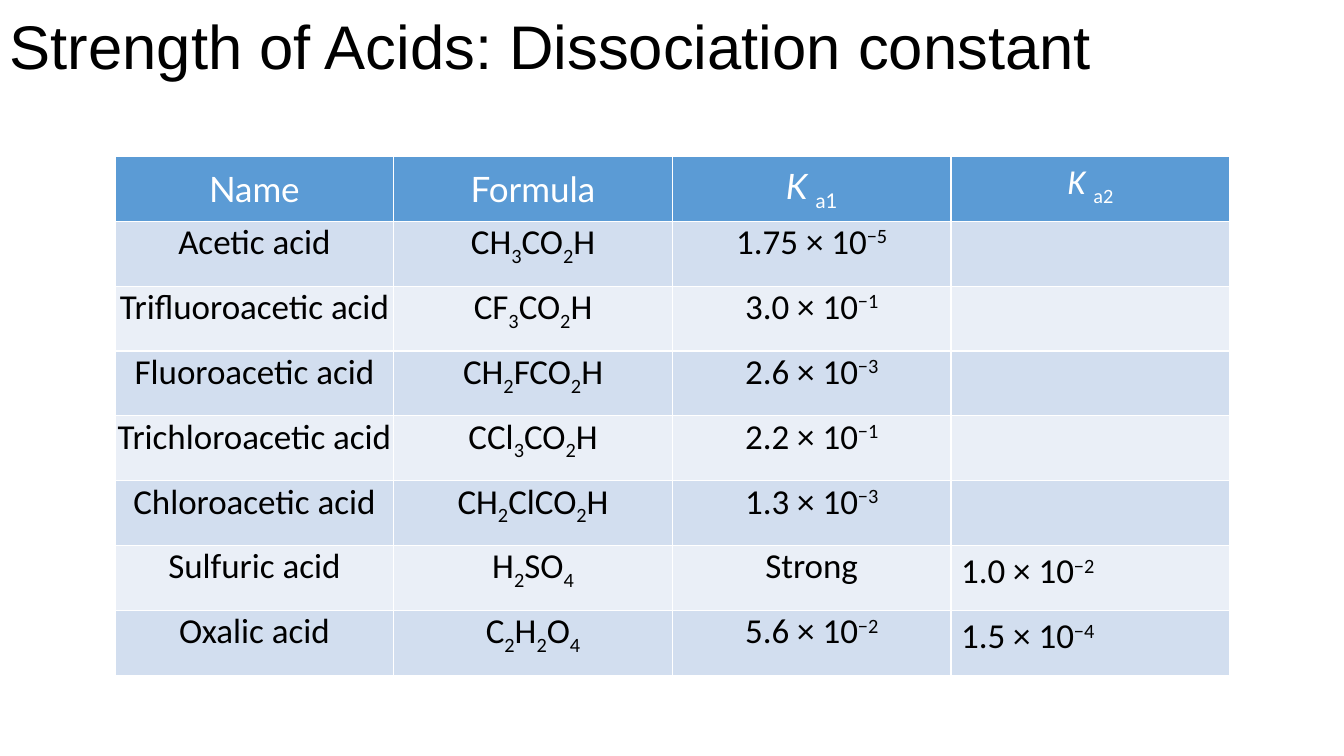
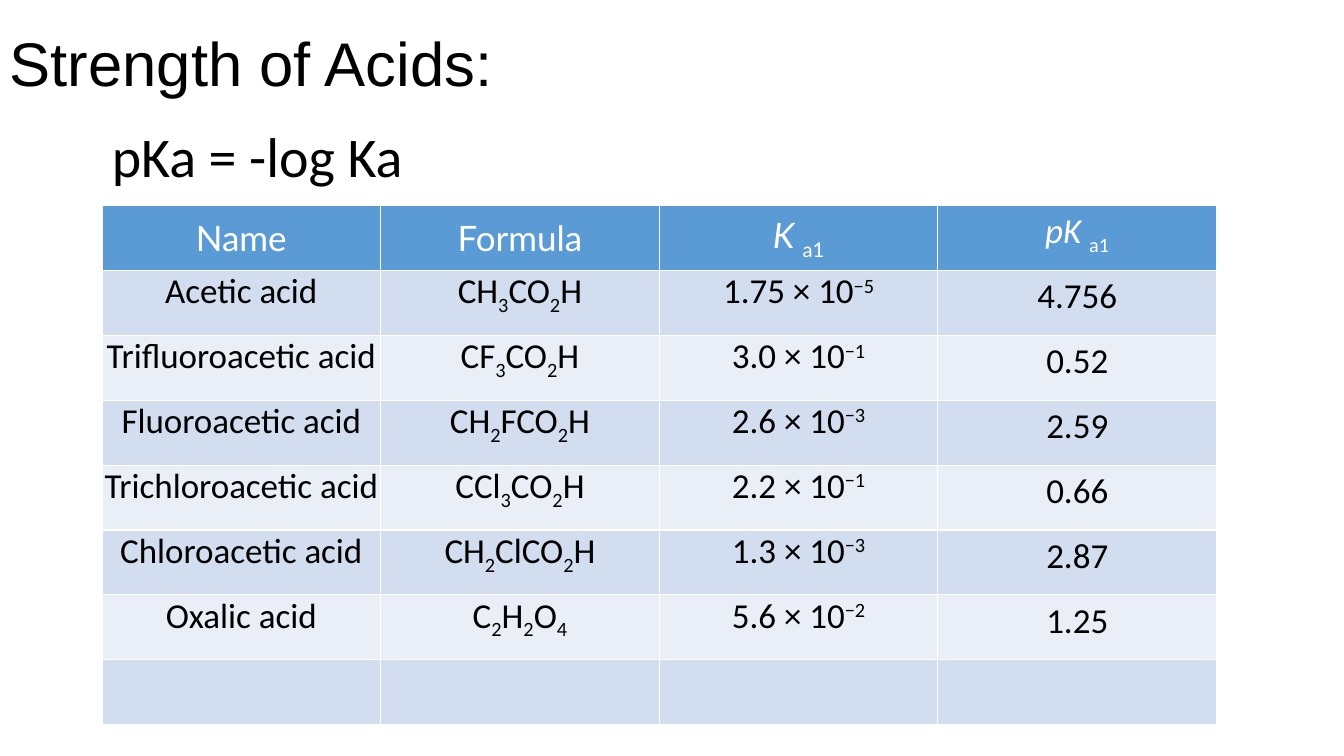
"""Build two slides that tabulate acid dissociation constants."""
from dataclasses import dataclass
from itertools import groupby

from pptx import Presentation
from pptx import util as u
from pptx.dml.color import RGBColor
from pptx.enum import text as t


@dataclass(frozen=True)
class Theme:
    ink: str = "000000"
    paper: str = "FFFFFF"
    header: str = "5B9BD5"
    bands: tuple = ("D2DEEF", "EAEFF7")
    title_font: str = "Arial"
    header_font: str = "Lato"
    body_font: str = "Calibri"
    title_size: int = 44
    equation_size: int = 40
    table_size: int = 25
    subscript: int = -25000
    superscript: int = 30000


THEME = Theme()
SLIDE_WIDTH, SLIDE_HEIGHT = u.Cm(33.87), u.Cm(19.05)
TITLE_HEIGHT = u.Cm(3.68)
TABLE_WIDTH, TABLE_HEIGHT = u.Cm(28.09), u.Cm(13.08)

ACIDS = {
    "Acetic acid": ("CH3CO2H", ("1.75", "−5")),
    "Trifluoroacetic acid": ("CF3CO2H", ("3.0", "−1")),
    "Fluoroacetic acid": ("CH2FCO2H", ("2.6", "−3")),
    "Trichloroacetic acid": ("CCl3CO2H", ("2.2", "−1")),
    "Chloroacetic acid": ("CH2ClCO2H", ("1.3", "−3")),
    "Sulfuric acid": ("H2SO4", "Strong"),
    "Oxalic acid": ("C2H2O4", ("5.6", "−2")),
}
KA2 = {"Sulfuric acid": ("1.0", "−2"), "Oxalic acid": ("1.5", "−4")}
PKA1 = {
    "Acetic acid": "4.756",
    "Trifluoroacetic acid": "0.52",
    "Fluoroacetic acid": "2.59",
    "Trichloroacetic acid": "0.66",
    "Chloroacetic acid": "2.87",
    "Oxalic acid": "1.25",
}
SLIDES = [
    dict(title="Strength of Acids: Dissociation constant", title_top=u.Cm(-0.58),
         table_at=(u.Cm(2.9), u.Cm(3.94)), names=list(ACIDS),
         symbol=("K", "a2"), values=KA2, align=t.PP_ALIGN.LEFT, spare_rows=0),
    dict(title="Strength of Acids:", title_top=u.Cm(-0.17),
         equation="pKa = -log Ka", equation_at=(u.Cm(2.57), u.Cm(2.95)),
         table_at=(u.Cm(2.57), u.Cm(5.18)), names=list(PKA1),
         symbol=("pK", "a1"), values=PKA1, align=t.PP_ALIGN.CENTER, spare_rows=1),
]


def formula_runs(formula):
    return [("".join(part), THEME.subscript if is_digit else 0, False)
            for is_digit, part in groupby(formula, str.isdigit)]


def value_runs(value):
    if isinstance(value, str):
        return [(value, 0, False)]
    mantissa, exponent = value
    return [(f"{mantissa} × 10", 0, False), (exponent, THEME.superscript, False)]


def symbol_runs(letter, index):
    return [(f"{letter} ", 0, True), (index, THEME.subscript, False)]


def add_run(paragraph, words, font, size, color, baseline=0, italic=False):
    run = paragraph.add_run()
    run.text = words
    run.font.name, run.font.size = font, u.Pt(size)
    run.font.bold, run.font.italic = False, italic
    run.font.color.rgb = RGBColor.from_string(color)
    if baseline:
        run._r.get_or_add_rPr().set("baseline", str(baseline))


def add_line(slide, words, box, font, size):
    frame = slide.shapes.add_textbox(*box).text_frame
    frame.word_wrap = True
    add_run(frame.paragraphs[0], words, font, size, THEME.ink)
    return frame


def fill_cell(cell, runs, fill, font, color, align, inset, anchor):
    cell.fill.solid()
    cell.fill.fore_color.rgb = RGBColor.from_string(fill)
    cell.vertical_anchor = anchor
    if not inset:
        cell.margin_left = cell.margin_right = cell.margin_top = cell.margin_bottom = 0
    paragraph = cell.text_frame.paragraphs[0]
    paragraph.alignment = align
    paragraph.font.size = u.Pt(THEME.table_size)
    for words, baseline, italic in runs:
        add_run(paragraph, words, font, THEME.table_size, color, baseline, italic)


def add_acid_table(slide, content):
    header = [value_runs("Name"), value_runs("Formula"),
              symbol_runs("K", "a1"), symbol_runs(*content["symbol"])]
    rows = [header]
    for name in content["names"]:
        formula, ka1 = ACIDS[name]
        last = content["values"].get(name)
        rows.append([value_runs(name), formula_runs(formula), value_runs(ka1),
                     value_runs(last) if last else []])
    rows += [[[] for _ in header] for _ in range(content["spare_rows"])]

    table = slide.shapes.add_table(len(rows), len(header), *content["table_at"],
                                   TABLE_WIDTH, TABLE_HEIGHT).table
    for r, row in enumerate(rows):
        is_header = r == 0
        fill = THEME.header if is_header else THEME.bands[(r - 1) % 2]
        color = THEME.paper if is_header else THEME.ink
        for c, runs in enumerate(row):
            is_last = c == len(header) - 1
            centred_head = is_header and not is_last
            fill_cell(
                table.cell(r, c), runs, fill,
                THEME.header_font if centred_head else THEME.body_font, color,
                content["align"] if is_last and not is_header else t.PP_ALIGN.CENTER,
                is_last,
                t.MSO_ANCHOR.MIDDLE if centred_head else t.MSO_ANCHOR.TOP)


def add_slide(deck, content):
    slide = deck.slides.add_slide(deck.slide_layouts[6])
    title = add_line(slide, content["title"],
                     (0, content["title_top"], SLIDE_WIDTH, TITLE_HEIGHT),
                     THEME.title_font, THEME.title_size)
    title.vertical_anchor = t.MSO_ANCHOR.MIDDLE
    title.paragraphs[0].line_spacing = 0.9
    if "equation" in content:
        equation = add_line(slide, content["equation"],
                            (*content["equation_at"], u.Cm(8.28), u.Cm(1.96)),
                            THEME.body_font, THEME.equation_size)
        equation.auto_size = t.MSO_AUTO_SIZE.SHAPE_TO_FIT_TEXT
    add_acid_table(slide, content)


def main():
    deck = Presentation()
    deck.slide_width, deck.slide_height = SLIDE_WIDTH, SLIDE_HEIGHT
    for content in SLIDES:
        add_slide(deck, content)
    deck.save("out.pptx")


if __name__ == "__main__":
    main()
